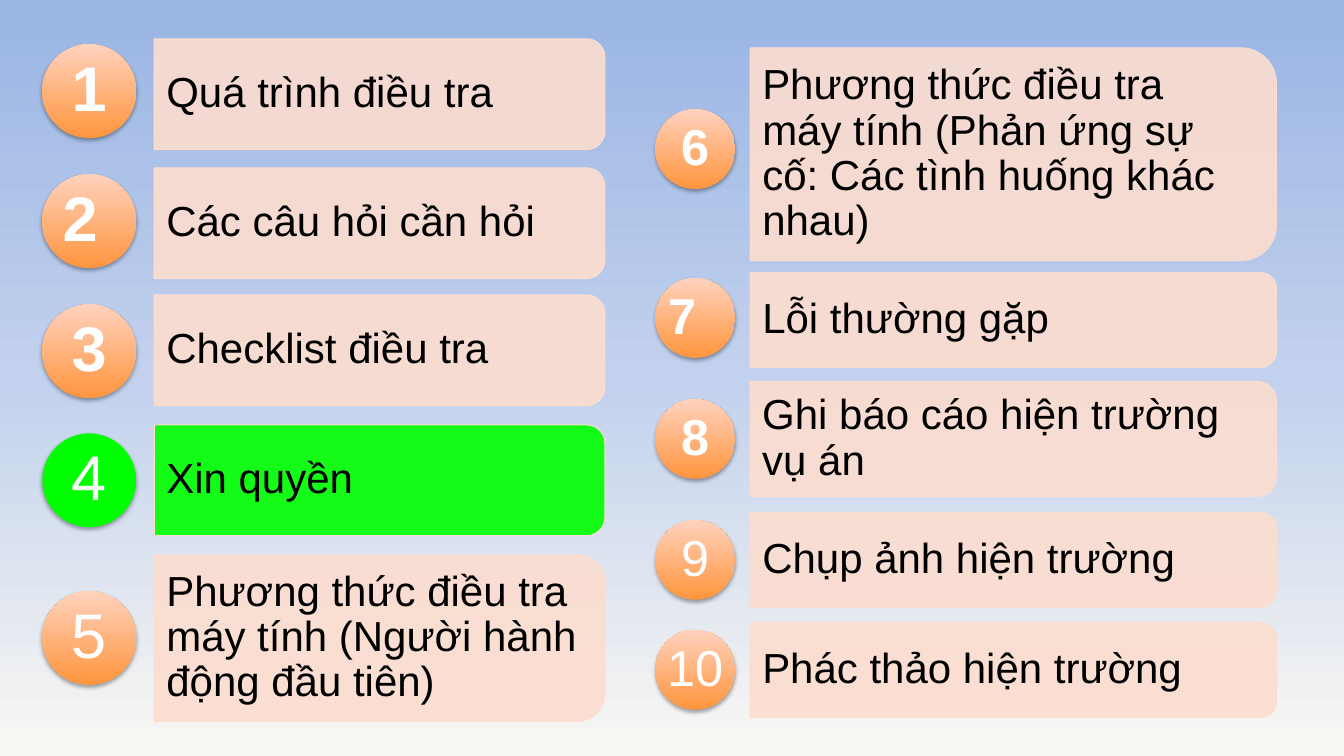
from copy import deepcopy
from dataclasses import dataclass

from lxml import etree
from pptx import Presentation
from pptx import util as u
from pptx.dml.color import RGBColor
from pptx.enum import shapes, text
from pptx.oxml.ns import qn


@dataclass(frozen=True)
class Theme:
    font: str = "Arial"
    ink: str = "000000"
    pale: str = "FFFFFF"
    bar: str = "FCDDCF"
    live: str = "00FF00"
    disc: tuple = ((0, "FF953E"), (1, "FFD2BD"))
    back: tuple = ((0, "9AB5E4"), (0.5, "C2D1ED"), (1, "F8F7F3"))
    label: int = 30


@dataclass(frozen=True)
class Row:
    num: str
    label: str
    top: int            # bar top, in grid rows below the top of the column
    high: int           # bar height
    nudge: int = 0      # disc centre against bar centre
    pad: int = 0        # space kept right of the number
    bold: bool = True
    live: bool = False


THEME = Theme()
COLS, ROWS = 1333, 750
CELL = u.Inches(13.33) / COLS

# Column boxes: left, top, width, disc size, number size, rows
LEFT = (42, 38.5, 558, 93, 45, (
    Row("1", "Quá trình điều tra", 0, 110, -3),
    Row("2", "Các câu hỏi cần hỏi", 128, 110, -2, 18),
    Row("3", "Checklist điều tra", 254, 110, 1),
    Row("4", "Xin quyền", 383, 110, bold=False, live=True),
    Row("5", "Phương thức điều tra máy tính (Người hành động đầu tiên)",
        512, 165, bold=False),
))
RIGHT = (650, 47.5, 616, 79, 36, (
    Row("6", "Phương thức điều tra máy tính (Phản ứng sự cố: "
        "Các tình huống khác nhau)", 0, 211, -5),
    Row("7", "Lỗi thường gặp", 223, 94, -2, 26),
    Row("8", "Ghi báo cáo hiện trường vụ án", 331, 114),
    Row("9", "Chụp ảnh hiện trường", 461, 94, bold=False),
    Row("10", "Phác thảo hiện trường", 570, 94, bold=False),
))


def grid(*cells):
    return [u.Emu(round(c * CELL)) for c in cells]


def rgb(code):
    return RGBColor.from_string(code)


def blend(fill, node, stops, angle):
    """Gradient fill with any number of stops."""
    fill.gradient()
    fill.gradient_angle = angle
    first = next(node.iter(qn("a:gs")))
    for _ in stops[2:]:
        first.addnext(deepcopy(first))
    for stop, (pos, code) in zip(fill.gradient_stops, stops):
        stop.position = pos
        stop.color.rgb = rgb(code)


def write(group, box, words, size, color, pads, align, bold=False):
    frame = group.shapes.add_textbox(*grid(*box)).text_frame
    left, top, right, low = grid(*pads)
    para = frame.paragraphs[0]
    para.text = words
    formats = {
        frame: dict(word_wrap=True, vertical_anchor=text.MSO_ANCHOR.MIDDLE,
                    margin_left=left, margin_top=top,
                    margin_right=right, margin_bottom=low),
        para: dict(alignment=align, line_spacing=0.9,
                   space_after=u.Pt(round(size * 0.35))),
        para.runs[0].font: dict(name=THEME.font, size=u.Pt(size), bold=bold),
    }
    for item, values in formats.items():
        for name, value in values.items():
            setattr(item, name, value)
    para.runs[0].font.color.rgb = rgb(color)


def add_bar(group, x, y, wide, row):
    # The shape stands upright and is turned so its round side faces right
    high = row.high
    box = (x + (wide - high) / 2, y + (high - wide) / 2, high, wide)
    bar = group.shapes.add_shape(
        shapes.MSO_SHAPE.ROUND_2_SAME_RECTANGLE, *grid(*box))
    bar.rotation = 90
    bar.shadow.inherit = False
    bar.fill.solid()
    bar.fill.fore_color.rgb = rgb(THEME.live if row.live else THEME.bar)
    tint = bar._element.spPr.find(qn("a:solidFill"))[0]
    etree.SubElement(tint, qn("a:alpha"), val="90000")
    bar.line.color.rgb = rgb(THEME.bar)
    bar.line.width = u.Pt(0.75)
    # The label keeps clear of the round corners
    trim = high * 0.05
    write(group, (x, y + trim, wide - trim, high - 2 * trim), row.label,
          THEME.label, THEME.ink, (12, 8, 12, 8), text.PP_ALIGN.LEFT)


def add_disc(group, x, y, side, size, row):
    disc = group.shapes.add_shape(
        shapes.MSO_SHAPE.OVAL, *grid(x, y, side, side))
    disc.line.fill.background()
    if row.live:
        disc.fill.solid()
        disc.fill.fore_color.rgb = rgb(THEME.live)
    else:
        blend(disc.fill, disc._element, THEME.disc, 90)
    # Soft shadow below
    disc.shadow.inherit = False
    glow = etree.SubElement(
        disc._element.spPr.find(qn("a:effectLst")), qn("a:outerShdw"),
        blurRad=str(u.Pt(3.1)), dist=str(u.Pt(1.8)), dir="5400000",
        rotWithShape="0")
    shade = etree.SubElement(glow, qn("a:srgbClr"), val=THEME.ink)
    etree.SubElement(shade, qn("a:alpha"), val="35000")
    # Number in the inner square
    inner = side * 0.71
    edge = (side - inner) / 2
    write(group, (x + edge, y + edge, inner, inner), row.num, size,
          THEME.pale, (0, 0, row.pad, 0), text.PP_ALIGN.CENTER, row.bold)


def add_column(slide, x, y, wide, side, size, rows):
    group = slide.shapes.add_group_shape()
    shift = round(side * 1.19)
    for row in rows:
        top = y + row.top
        add_bar(group, x + shift, top, wide - shift, row)
        add_disc(group, x, top + (row.high - side) / 2 + row.nudge,
                 side, size, row)


def main():
    deck = Presentation()
    deck.slide_width, deck.slide_height = grid(COLS, ROWS)
    slide = deck.slides.add_slide(deck.slide_layouts[6])
    blend(slide.background.fill, slide._element, THEME.back, 270)
    for column in (LEFT, RIGHT):
        add_column(slide, *column)
    deck.save("out.pptx")


if __name__ == "__main__":
    main()
